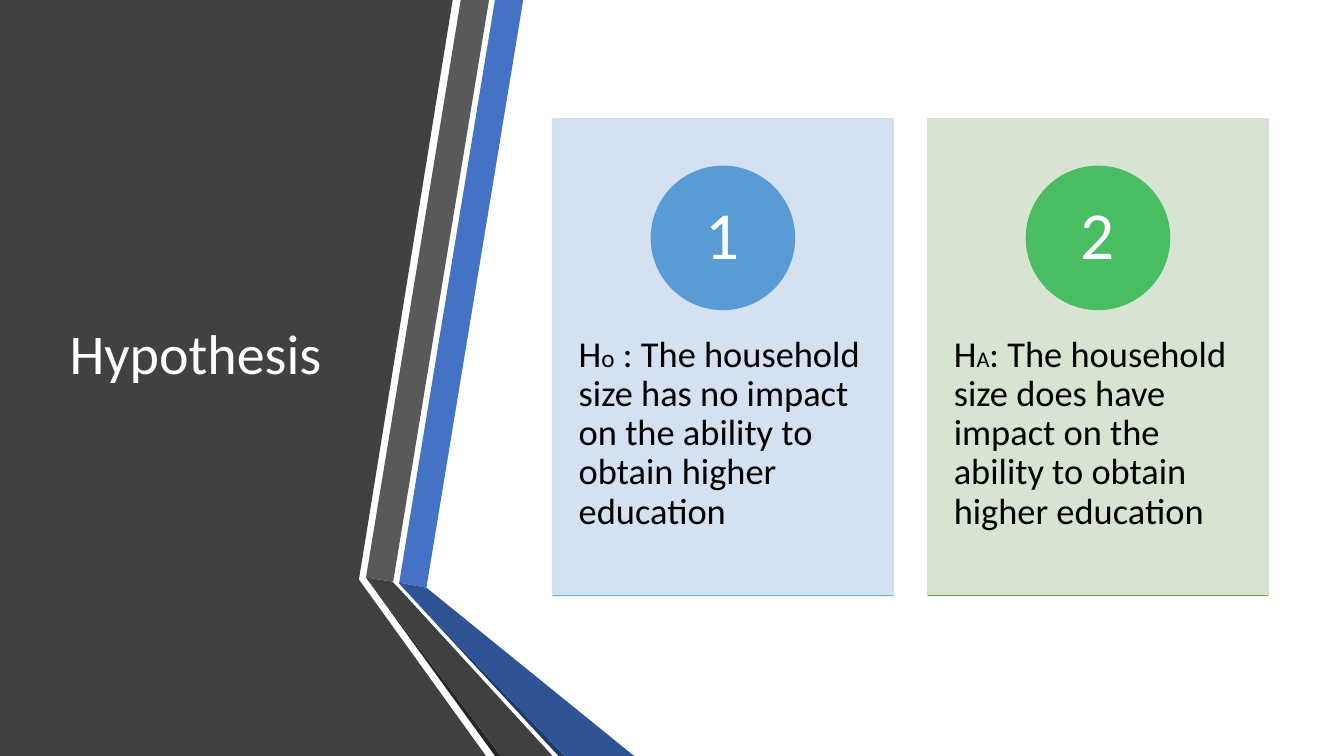
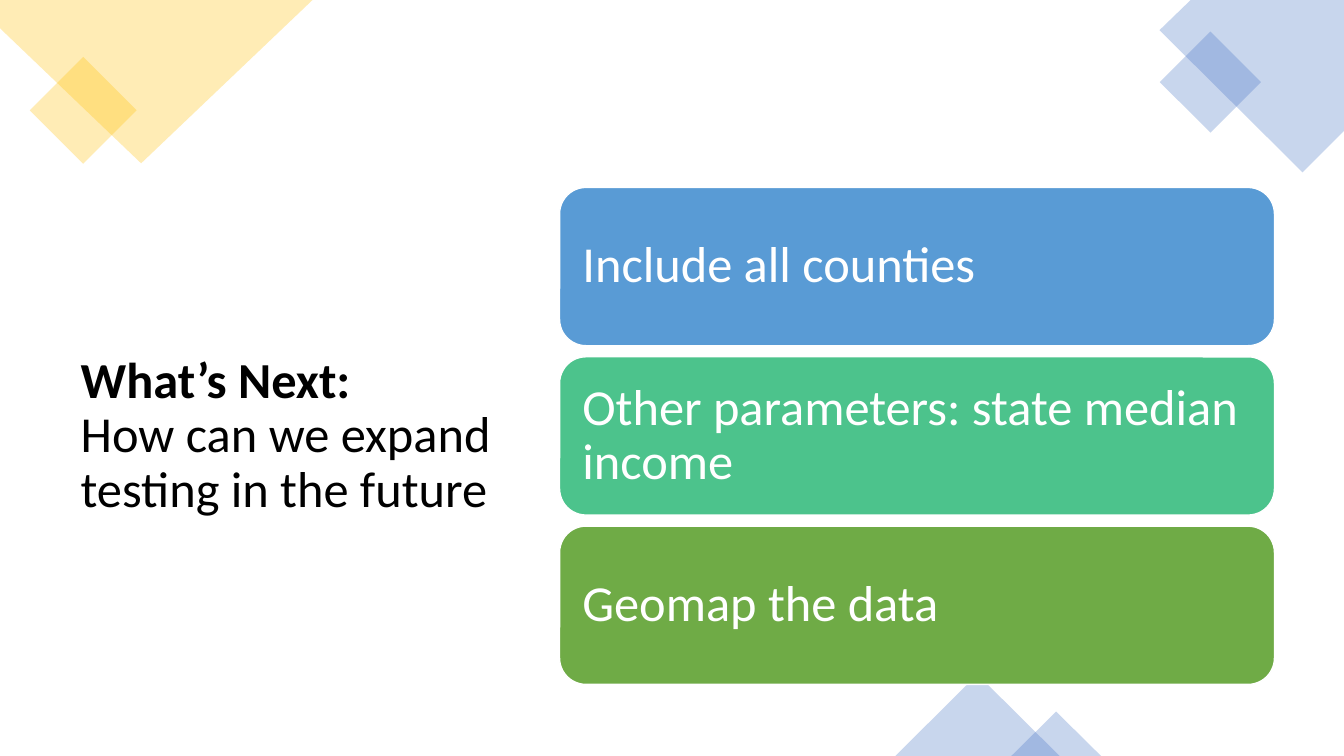
from dataclasses import dataclass
from typing import NamedTuple, Optional, Sequence

from lxml import etree
from pptx import Presentation
from pptx import util as u
from pptx.dml.color import RGBColor
from pptx.enum import shapes, text
from pptx.oxml import ns
from pptx.shapes.base import BaseShape
from pptx.slide import Slide

Inches = u.Inches
Points = Sequence[tuple[float, float]]


# Shared look
@dataclass(frozen=True)
class Theme:
    font: str = "Calibri"
    line_spacing: float = 0.9
    white: str = "FFFFFF"
    black: str = "000000"
    panel: str = "414141"
    accent: str = "4472C4"
    gold: str = "FFC000"
    blue: str = "599BD5"
    teal: str = "50C9B6"
    mint: str = "4CC38C"
    green: str = "48BD62"
    olive: str = "6FAB46"
    pale_blue: str = "CFDEEF"
    pale_green: str = "D3E1CC"
    card_opacity: int = 89
    decor_opacity: int = 29
    title_size: int = 40
    large_size: int = 36
    number_size: int = 48
    body_size: int = 26


THEME = Theme()


class Span(NamedTuple):
    text: str
    size: int
    bold: bool = False


class Box(NamedTuple):
    left: float
    top: float
    width: float
    height: float

    def lengths(self) -> list[u.Length]:
        return [Inches(value) for value in self]


class Insets(NamedTuple):
    left: float
    top: float
    right: float
    bottom: float


@dataclass(frozen=True)
class Band:
    color: str
    points: Points


@dataclass(frozen=True)
class Hypothesis:
    number: str
    spans: Sequence[Span]
    fill: str
    badge: str
    rule: str


@dataclass(frozen=True)
class Step:
    text: str
    fill: str


@dataclass(frozen=True)
class Decor:
    kind: shapes.MSO_SHAPE
    box: Box
    color: str
    rotation: int = 0


# Drawing helpers
def paint(shape: BaseShape, color: str, *, line: Optional[str] = None,
          opacity: int = 100) -> None:
    shape.shadow.inherit = False
    shape.fill.solid()
    shape.fill.fore_color.rgb = RGBColor.from_string(color)
    if line:
        shape.line.color.rgb = RGBColor.from_string(line)
        shape.line.width = u.Pt(1)
    else:
        shape.line.fill.background()
    if opacity < 100:
        for tint in shape.element.spPr.iter(ns.qn("a:srgbClr")):
            etree.SubElement(tint, ns.qn("a:alpha"), val=str(opacity * 1000))


def add_shape(page: Slide, kind: shapes.MSO_SHAPE, box: Box, color: str, *,
              line: Optional[str] = None, opacity: int = 100) -> BaseShape:
    shape = page.shapes.add_shape(kind, *box.lengths())
    paint(shape, color, line=line, opacity=opacity)
    return shape


def add_polygon(page: Slide, points: Points, color: str, *,
                opacity: int = 100) -> None:
    corners = [(Inches(x), Inches(y)) for x, y in points]
    builder = page.shapes.build_freeform(*corners[0])
    builder.add_line_segments(corners[1:], close=True)
    paint(builder.convert_to_shape(), color, opacity=opacity)


def add_rule(page: Slide, left: float, right: float, y: float,
             color: str) -> None:
    rule = page.shapes.add_connector(
        shapes.MSO_CONNECTOR.STRAIGHT,
        Inches(left), Inches(y), Inches(right), Inches(y))
    rule.line.color.rgb = RGBColor.from_string(color)
    rule.line.width = u.Pt(1)
    etree.SubElement(rule.element.spPr, ns.qn("a:effectLst"))


def write(shape: BaseShape, lines: Sequence[Sequence[Span]], *, color: str,
          align: text.PP_ALIGN = text.PP_ALIGN.LEFT,
          anchor: text.MSO_ANCHOR = text.MSO_ANCHOR.MIDDLE,
          insets: Insets = Insets(0.1, 0.05, 0.1, 0.05)) -> None:
    frame = shape.text_frame
    frame.word_wrap = True
    frame.auto_size = text.MSO_AUTO_SIZE.NONE
    frame.vertical_anchor = anchor
    (frame.margin_left, frame.margin_top,
     frame.margin_right, frame.margin_bottom) = map(Inches, insets)
    para = frame.paragraphs[0]
    para.alignment = align
    para.line_spacing = THEME.line_spacing
    for index, spans in enumerate(lines):
        if index:
            para.add_line_break()
        for span in spans:
            run = para.add_run()
            run.text = span.text
            run.font.name = THEME.font
            run.font.size = u.Pt(span.size)
            run.font.bold = span.bold
            run.font.color.rgb = RGBColor.from_string(color)


def add_title(page: Slide, box: Box, lines: Sequence[Sequence[Span]], *,
              color: str) -> None:
    title = page.shapes.title
    title.left, title.top, title.width, title.height = box.lengths()
    write(title, lines, color=color)
    # Bring the title in front of whatever is already on the page
    page.shapes.element.append(title.element)


# Slide 1: hypothesis cards
BANDS = (
    Band(THEME.panel, ((0, 0), (4.49, 0), (3.56, 5.75), (4.82, 7.5), (0, 7.5))),
    Band(THEME.accent, ((3.96, 5.78), (4.23, 5.83), (5.19, 0), (4.91, 0))),
    Band("595959", ((4.85, 0), (4.57, 0), (3.63, 5.73), (3.9, 5.77))),
    Band("262626", ((3.63, 5.73), (4.91, 7.5), (4.97, 7.5))),
    Band("1F3864", ((3.96, 5.79), (5.54, 7.5), (5.6, 7.5))),
    Band("2F5496", ((3.96, 5.79), (5.6, 7.5), (6.29, 7.5), (4.23, 5.83),
                    (3.96, 5.78))),
    Band("404040", ((5.48, 7.5), (3.95, 5.83), (3.89, 5.77), (3.63, 5.73),
                    (4.97, 7.5))),
)

HYPOTHESES = (
    Hypothesis("1", (
        Span("H", THEME.body_size), Span("o", 18),
        Span(" : The household size has no impact on the ability to obtain "
             "higher education", THEME.body_size),
    ), THEME.pale_blue, THEME.blue, THEME.teal),
    Hypothesis("2", (
        Span("H", THEME.body_size), Span("A", 16),
        Span(": The household size does have impact on the ability to obtain "
             "higher education", THEME.body_size),
    ), THEME.pale_green, THEME.green, THEME.olive),
)


def add_hypothesis(page: Slide, item: Hypothesis, box: Box) -> None:
    card = add_shape(page, shapes.MSO_SHAPE.RECTANGLE, box, item.fill,
                     line=item.fill, opacity=THEME.card_opacity)
    write(card, [item.spans], color=THEME.black, anchor=text.MSO_ANCHOR.TOP,
          insets=Insets(0.26, 2.15, 0.26, 0.36))
    diameter = 1.42
    badge_box = Box(box.left + (box.width - diameter) / 2, box.top + 0.47,
                    diameter, diameter)
    badge = add_shape(page, shapes.MSO_SHAPE.OVAL, badge_box, item.badge,
                      line=item.badge)
    write(badge, [[Span(item.number, THEME.number_size)]], color=THEME.white,
          align=text.PP_ALIGN.CENTER, insets=Insets(0.11, 0.01, 0.11, 0.01))
    add_rule(page, box.left, box.left + box.width, box.top + box.height,
             item.rule)


def build_hypothesis(page: Slide) -> None:
    for band in BANDS:
        add_polygon(page, band.points, band.color)
    add_title(page, Box(0.59, 0.75, 3.04, 5.58),
              [[Span("Hypothesis", THEME.title_size)]], color=THEME.white)
    for index, item in enumerate(HYPOTHESES):
        add_hypothesis(page, item, Box(5.48 + index * 3.72, 1.18, 3.38, 4.73))


# Slide 2: next steps
GOLD_CORNER = ((0, 0), (3.1, 0), (1.4, 1.62), (0, 0.28))
BLUE_CORNER = ((11.81, 0), (13.33, 0), (13.33, 1.3), (12.92, 1.71), (11.5, 0.3))
GOLD_DIAMOND = Decor(shapes.MSO_SHAPE.RECTANGLE, Box(0.45, 0.72, 0.75, 0.75),
                     THEME.gold, 45)
BLUE_DECOR = (
    Decor(shapes.MSO_SHAPE.RECTANGLE, Box(11.65, 0.46, 0.71, 0.71),
          THEME.accent, 45),
    Decor(shapes.MSO_SHAPE.ISOSCELES_TRIANGLE, Box(8.88, 6.69, 1.63, 0.81),
          THEME.accent),
    Decor(shapes.MSO_SHAPE.ISOSCELES_TRIANGLE, Box(10.03, 7.06, 0.89, 0.44),
          THEME.accent),
)

STEPS = (
    Step("Include all counties", THEME.blue),
    Step("Other parameters: state median income", THEME.mint),
    Step("Geomap the data", THEME.olive),
)


def add_decor(page: Slide, decor: Decor) -> None:
    shape = add_shape(page, decor.kind, decor.box, decor.color,
                      opacity=THEME.decor_opacity)
    shape.rotation = decor.rotation


def build_next_steps(page: Slide) -> None:
    add_title(page, Box(0.7, 1.86, 4.33, 4.94), [
        [Span("What’s Next:", THEME.large_size, bold=True)],
        [Span("How can we expand testing in the future", THEME.large_size)],
    ], color=THEME.black)
    add_decor(page, GOLD_DIAMOND)
    add_polygon(page, GOLD_CORNER, THEME.gold, opacity=THEME.decor_opacity)
    add_polygon(page, BLUE_CORNER, THEME.accent, opacity=THEME.decor_opacity)
    for decor in BLUE_DECOR:
        add_decor(page, decor)
    for index, step in enumerate(STEPS):
        bar = add_shape(page, shapes.MSO_SHAPE.ROUNDED_RECTANGLE,
                        Box(5.55, 1.86 + index * 1.68, 7.09, 1.57), step.fill,
                        line=THEME.white)
        write(bar, [[Span(step.text, THEME.large_size)]], color=THEME.white,
              insets=Insets(0.15, 0.15, 0.15, 0.15))


def main() -> None:
    deck = Presentation()
    deck.slide_width, deck.slide_height = Inches(13.33), Inches(7.5)
    title_only = deck.slide_layouts[5]
    for build in (build_hypothesis, build_next_steps):
        build(deck.slides.add_slide(title_only))
    deck.save("out.pptx")


if __name__ == "__main__":
    main()
